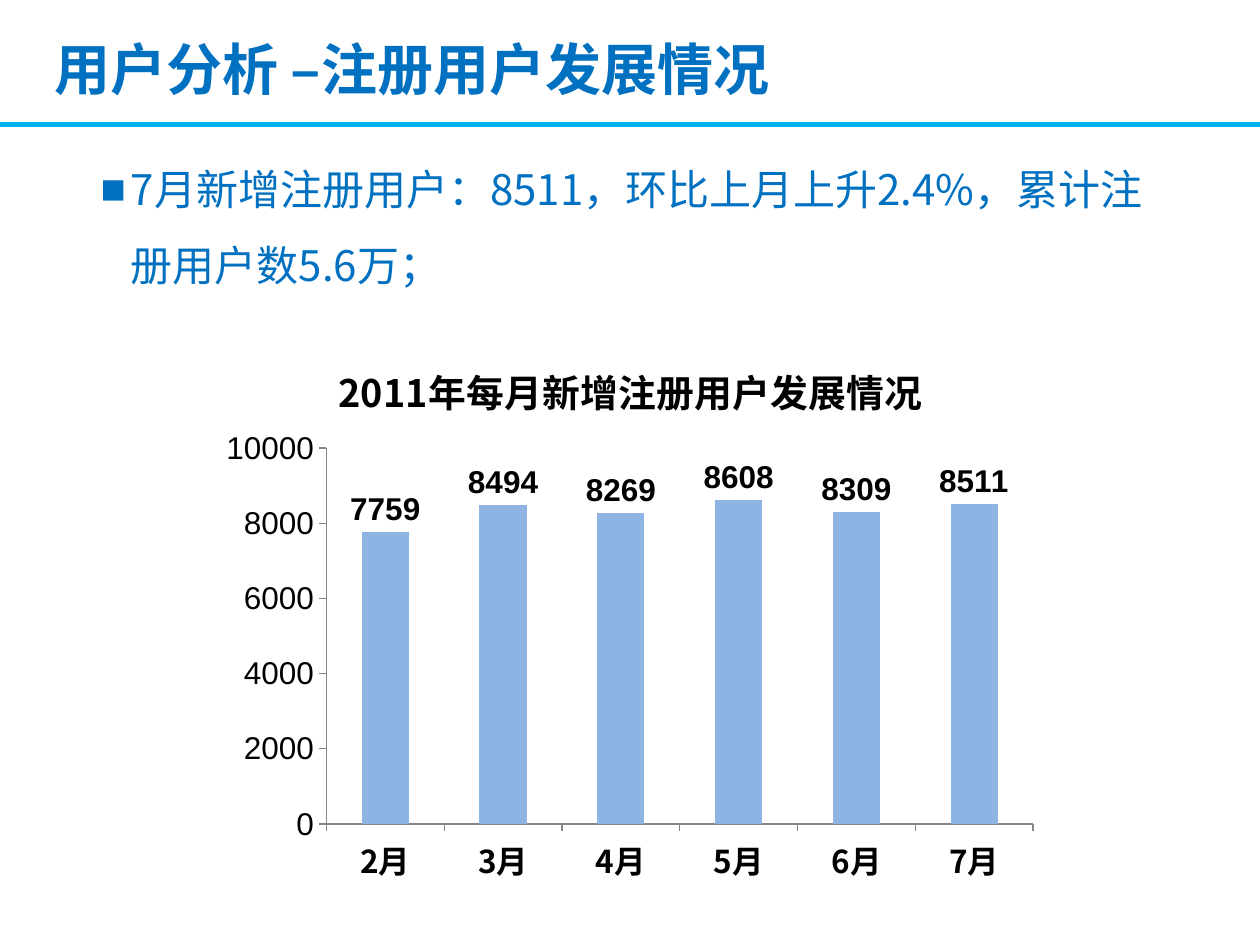
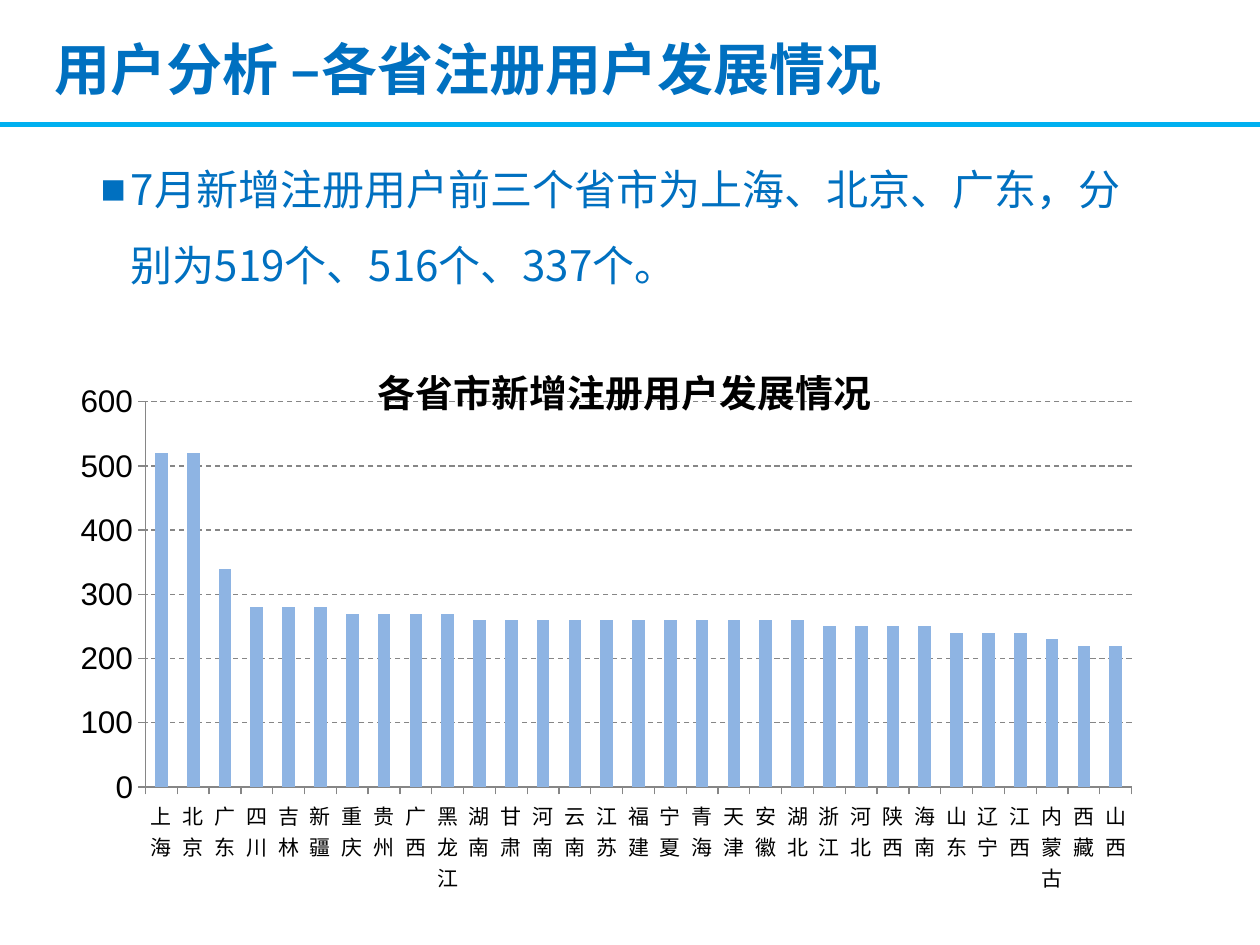
from dataclasses import dataclass

from lxml.etree import SubElement
from pptx import Presentation
from pptx.chart.data import CategoryChartData
from pptx.dml.color import RGBColor
from pptx.enum.chart import XL_CHART_TYPE, XL_LABEL_POSITION, XL_TICK_MARK
from pptx.enum.dml import MSO_LINE
from pptx.enum.shapes import MSO_CONNECTOR
from pptx.enum.text import MSO_ANCHOR, MSO_AUTO_SIZE, PP_ALIGN
from pptx.oxml import parse_xml
from pptx.oxml.ns import nsdecls, qn
from pptx.util import Inches, Pt


@dataclass(frozen=True)
class Theme:
    """Colours, fonts and type sizes of the deck."""
    blue: RGBColor = RGBColor(0x00, 0x70, 0xC0)
    rule: RGBColor = RGBColor(0x00, 0xB0, 0xF0)
    bar: RGBColor = RGBColor(0x8E, 0xB4, 0xE3)
    axis: RGBColor = RGBColor(0x86, 0x86, 0x86)
    black: RGBColor = RGBColor(0, 0, 0)
    cjk: str = "Noto Sans CJK SC"
    digits: str = "Arial"
    chart_font: str = "Calibri"
    title: float = 32
    body: float = 24
    chart_title: float = 21.6
    label: float = 18
    small: float = 12


class Deck:
    """Holds the theme and the current slide."""

    def __init__(self, theme):
        """Start an empty 4:3 presentation."""
        self.theme = theme
        self.prs = Presentation()
        self.prs.slide_width, self.prs.slide_height = Inches(10), Inches(7.5)
        self.s = None

    def font(self, font, name, size, color, bold=False):
        """Set the look of a font."""
        font.name, font.size, font.bold = name, Pt(size), bold
        font.color.rgb = color

    def runs(self, p, size, color, bold=False):
        """Format all runs of a paragraph in the Chinese font."""
        for r in p.runs:
            self.font(r.font, self.theme.cjk, size, color, bold)
            SubElement(r._r.get_or_add_rPr(), qn("a:ea"), typeface=self.theme.cjk)

    def slide(self, title):
        """Add a slide with its title and the rule below it."""
        self.s = self.prs.slides.add_slide(self.prs.slide_layouts[5])
        self.rule(0.99)
        sp = self.s.shapes.title
        sp.left, sp.top = Inches(0.33), Inches(0.23)
        sp.width, sp.height = Inches(8.5), Inches(0.62)
        tf = sp.text_frame
        tf.text = title
        tf.auto_size, tf.vertical_anchor = MSO_AUTO_SIZE.NONE, MSO_ANCHOR.MIDDLE
        p = tf.paragraphs[0]
        p.alignment = PP_ALIGN.LEFT
        self.runs(p, self.theme.title, self.theme.blue, True)

    def rule(self, y):
        """Draw a line across the slide."""
        line = self.s.shapes.add_connector(
            MSO_CONNECTOR.STRAIGHT, 0, Inches(y), self.prs.slide_width, Inches(y))
        line.line.color.rgb, line.line.width = self.theme.rule, Pt(3)
        SubElement(line._element.spPr, qn("a:effectLst"))

    def bullet(self, text):
        """Add the key statement with a square bullet."""
        sp = self.s.shapes.add_textbox(Inches(0.7), Inches(1.05), Inches(8.59), Inches(1.31))
        tf = sp.text_frame
        tf.word_wrap, tf.auto_size = True, MSO_AUTO_SIZE.SHAPE_TO_FIT_TEXT
        tf.text = text
        p = tf.paragraphs[0]
        p.line_spacing = 1.5
        pPr = p._p.get_or_add_pPr()
        pPr.set("marL", str(Inches(0.24)))
        pPr.set("indent", str(-Inches(0.24)))
        SubElement(pPr, qn("a:buFont"), typeface=self.theme.digits)
        SubElement(pPr, qn("a:buChar"), char="■")
        self.runs(p, self.theme.body, self.theme.blue)

    def columns(self, title, data, left, width, top_value, step, plot,
                cat_size, cat_bold=False, labels=False, grid=False):
        """Add a column chart of one series."""
        t = self.theme
        cd = CategoryChartData()
        cd.categories = list(data)
        cd.add_series("Series 1", list(data.values()))
        chart = self.s.shapes.add_chart(
            XL_CHART_TYPE.COLUMN_CLUSTERED, Inches(left), Inches(2.65),
            Inches(width), Inches(4.44), cd).chart
        self.font(chart.font, t.chart_font, t.label, t.black)
        chart.has_legend = False
        chart.has_title = True
        tf = chart.chart_title.text_frame
        tf.text = title
        self.runs(tf.paragraphs[0], t.chart_title, t.black, True)

        cat, val = chart.category_axis, chart.value_axis
        for axis in (cat, val):
            axis.major_tick_mark = XL_TICK_MARK.OUTSIDE
            axis.format.line.color.rgb = t.axis
            axis.format.line.width = Pt(0.75)
        self.font(cat.tick_labels.font, t.cjk, cat_size, t.black, cat_bold)
        self.font(val.tick_labels.font, t.digits, t.label, t.black)
        self.show_all_categories(cat)
        val.minimum_scale, val.maximum_scale, val.major_unit = 0, top_value, step
        val.has_major_gridlines = grid
        if grid:
            line = val.major_gridlines.format.line
            line.color.rgb, line.width = t.axis, Pt(0.75)
            line.dash_style = MSO_LINE.DASH

        bars = chart.plots[0]
        bars.gap_width, bars.vary_by_categories = 150, False
        fill = bars.series[0].format.fill
        fill.solid()
        fill.fore_color.rgb = t.bar
        if labels:
            bars.has_data_labels = True
            dl = bars.data_labels
            dl.show_value, dl.position = True, XL_LABEL_POSITION.OUTSIDE_END
            self.font(dl.font, t.digits, t.label, t.black, True)
        self.place_plot(chart, plot)

    def show_all_categories(self, axis):
        """Keep category labels level, so they wrap, and skip none."""
        el = axis._element
        body = el.find(qn("c:txPr")).find(qn("a:bodyPr"))
        body.set("rot", "0")
        body.set("vert", "horz")
        skip = parse_xml(f'<c:tickLblSkip {nsdecls("c")} val="1"/>')
        el.find(qn("c:noMultiLvlLbl")).addprevious(skip)

    def place_plot(self, chart, plot):
        """Fix the inner plot area as fractions of the chart."""
        area = chart._chartSpace.chart.plotArea
        for old in area.findall(qn("c:layout")):
            area.remove(old)
        modes = "".join(f'<c:{k}Mode val="edge"/>' for k in "xy")
        sizes = "".join(f'<c:{k} val="{v}"/>' for k, v in zip("xywh", plot))
        area.insert(0, parse_xml(
            f'<c:layout {nsdecls("c")}><c:manualLayout><c:layoutTarget val="inner"/>'
            f'{modes}{sizes}</c:manualLayout></c:layout>'))


def main():
    """Build and save both slides."""
    theme = Theme()
    deck = Deck(theme)

    deck.slide("用户分析 –注册用户发展情况")
    monthly = dict(zip((f"{m}月" for m in range(2, 8)),
                       (7759, 8494, 8269, 8608, 8309, 8511)))
    deck.columns("2011年每月新增注册用户发展情况", monthly, 1.67, 6.67, 10000, 2000,
                 (0.138, 0.204, 0.841, 0.672), theme.label, cat_bold=True, labels=True)
    deck.bullet("7月新增注册用户：8511，环比上月上升2.4%，累计注册用户数5.6万；")

    deck.slide("用户分析 –各省注册用户发展情况")
    provinces = ("上海 北京 广东 四川 吉林 新疆 重庆 贵州 广西 黑龙江 湖南 甘肃 河南 云南 "
                 "江苏 福建 宁夏 青海 天津 安徽 湖北 浙江 河北 陕西 海南 山东 辽宁 江西 "
                 "内蒙古 西藏 山西").split()
    counts = ([520] * 2 + [340] + [280] * 3 + [270] * 4 + [260] * 11
              + [250] * 4 + [240] * 3 + [230] + [220] * 2)
    deck.columns("各省市新增注册用户发展情况", dict(zip(provinces, counts)), 0.43, 9.06,
                 600, 100, (0.08, 0.122, 0.864, 0.692), theme.small, grid=True)
    deck.bullet("7月新增注册用户前三个省市为上海、北京、广东，分别为519个、516个、337个。")

    deck.prs.save("out.pptx")


main()
